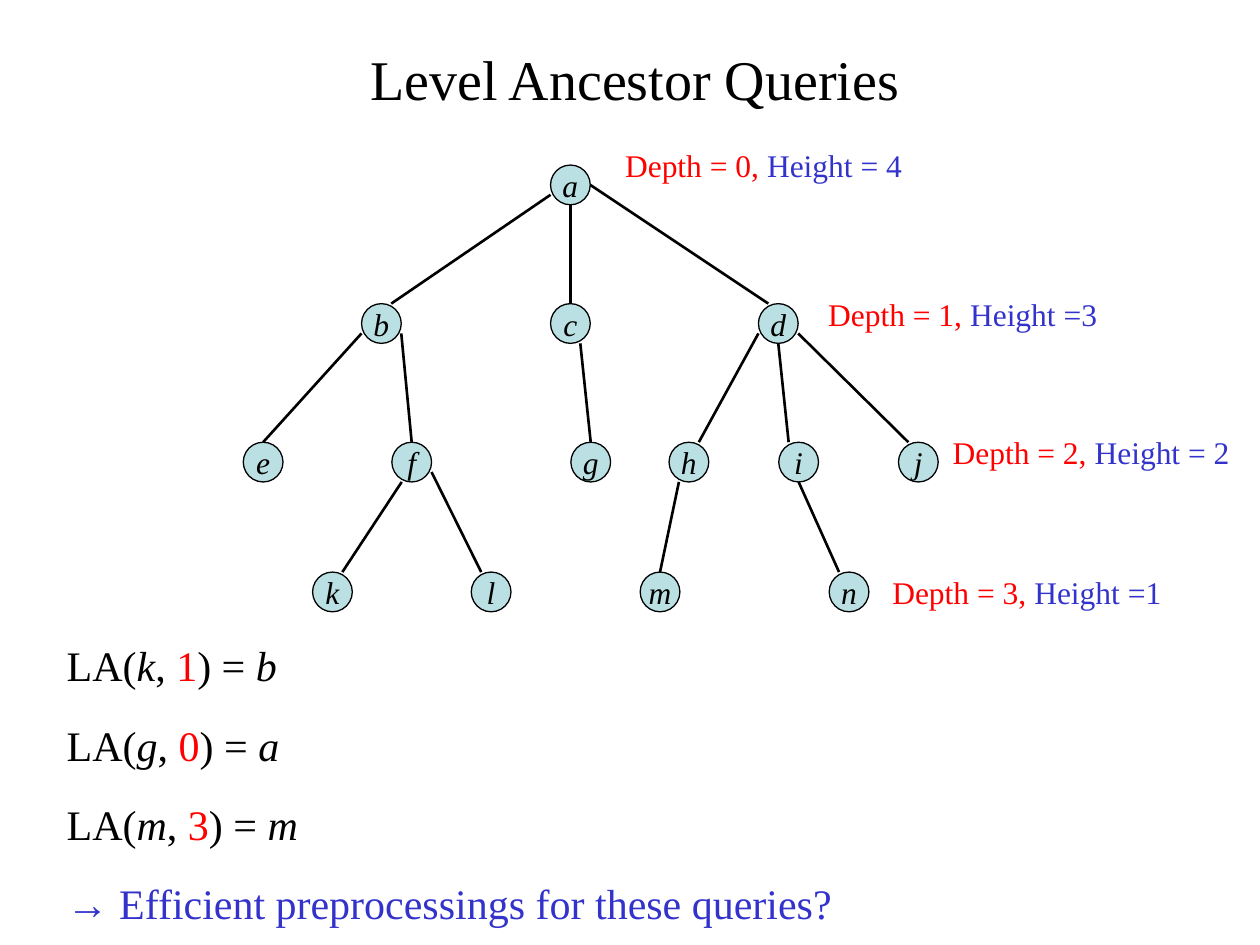
from dataclasses import dataclass

from lxml.etree import SubElement
from pptx import Presentation
from pptx.dml.color import RGBColor as RGB
from pptx.enum.shapes import MSO_CONNECTOR as Connector, MSO_SHAPE as Shape
from pptx.enum.text import MSO_ANCHOR as Anchor, MSO_AUTO_SIZE as AutoSize, PP_ALIGN as Align
from pptx.oxml.ns import qn
from pptx.util import Pt


@dataclass(frozen=True)
class Theme:
    ink: RGB = RGB(0, 0, 0)
    node_fill: RGB = RGB(0xBB, 0xE0, 0xE3)
    depth: RGB = RGB(0xFF, 0, 0)
    height: RGB = RGB(0x33, 0x33, 0xCC)
    serif: str = "Times New Roman"
    sans: str = "Arial"
    title_size: float = 32
    query_size: float = 24
    label_size: float = 18
    outline: float = 0.75
    edge: float = 1.5


NODE = 22.7  # node diameter

# Top of each tree level, with the left side of every node on it
LEVELS = [
    (94.3, {"a": 314.6}),
    (173.5, {"b": 206.6, "c": 314.6, "d": 433.4}),
    (252.7, {"e": 139, "f": 223.9, "g": 326.2, "h": 382.3, "i": 445, "j": 513.4}),
    (326.9, {"k": 178.6, "l": 269.3, "m": 365.8, "n": 473.8}),
]

# Child, x on its top edge, parent, x and y on the parent, in quarters of a node
EDGES = [
    ("b", 3, "a", 0, 3), ("c", 2, "a", 2, 4), ("d", 1, "a", 4, 2),
    ("e", 2, "b", 0, 3), ("f", 2, "b", 4, 3), ("g", 2, "c", 3, 4),
    ("h", 3, "d", 0, 3), ("i", 1, "d", 2, 4), ("j", 1, "d", 4, 3),
    ("k", 3, "f", 1, 4), ("l", 1, "f", 4, 3),
    ("m", 2, "h", 1, 4), ("n", 1, "i", 2, 4),
]

# Left, top and width of each level label, with its height text
LABELS = [
    (348.5, 82.8, 175.7, "Height = 4"),
    (468, 167.8, 164.2, "Height =3"),
    (541.4, 247, 164.2, "Height = 2"),
    (496.1, 326.9, 181.4, "Height =1"),
]

# Node, depth and answer of each level ancestor query
QUERIES = [("k", "1", "b"), ("g", "0", "a"), ("m", "3", "m")]


def assign(target, values):
    for name, value in values.items():
        setattr(target, name, value)


class TreeSlide:
    def __init__(self, deck, theme):
        self.theme = theme
        self.slide = deck.slides.add_slide(deck.slide_layouts.get_by_name("Title Only"))

    def add_runs(self, paragraph, runs, size):
        """Each run is a text and the font values that differ from the default."""
        for text, changes in runs:
            run = paragraph.add_run()
            run.text = text
            color = changes.get("color", self.theme.ink)
            assign(run.font, {"name": changes.get("name", self.theme.serif),
                              "size": Pt(size), "italic": changes.get("italic", False)})
            run.font.color.rgb = color

    def centre(self, frame, runs, size, wrap=False):
        assign(frame, {"word_wrap": wrap, "auto_size": AutoSize.NONE,
                       "vertical_anchor": Anchor.MIDDLE})
        paragraph = frame.paragraphs[0]
        paragraph.alignment = Align.CENTER
        self.add_runs(paragraph, runs, size)

    def title(self, text, left, top, width, height):
        heading = self.slide.shapes.title
        assign(heading, {"left": Pt(left), "top": Pt(top),
                         "width": Pt(width), "height": Pt(height)})
        self.centre(heading.text_frame, [(text, {})], self.theme.title_size, wrap=True)

    def node(self, name, left, top):
        circle = self.slide.shapes.add_shape(
            Shape.OVAL, Pt(left), Pt(top), Pt(NODE), Pt(NODE))
        circle.shadow.inherit = False
        circle.fill.solid()
        circle.fill.fore_color.rgb = self.theme.node_fill
        circle.line.color.rgb = self.theme.ink
        circle.line.width = Pt(self.theme.outline)
        self.centre(circle.text_frame, [(name, {"italic": True})], self.theme.label_size)

    def edge(self, start, end):
        branch = self.slide.shapes.add_connector(
            Connector.STRAIGHT, *(Pt(value) for value in (*start, *end)))
        branch.line.color.rgb = self.theme.ink
        branch.line.width = Pt(self.theme.edge)
        SubElement(branch._element.spPr, qn("a:effectLst"))

    def label(self, left, top, width, runs):
        box = self.slide.shapes.add_textbox(Pt(left), Pt(top), Pt(width), Pt(NODE))
        self.centre(box.text_frame, runs, self.theme.label_size)

    def queries(self, left, top, width, height, lines):
        frame = self.slide.shapes.add_textbox(
            Pt(left), Pt(top), Pt(width), Pt(height)).text_frame
        frame.word_wrap = True
        for index, runs in enumerate(lines):
            paragraph = frame.add_paragraph() if index else frame.paragraphs[0]
            assign(paragraph, {"space_before": Pt(15 if index else 0),
                               "line_spacing": 1.05})
            self.add_runs(paragraph, runs, self.theme.query_size)


def main():
    deck = Presentation()
    assign(deck, {"slide_width": Pt(720), "slide_height": Pt(540)})
    theme = Theme()
    page = TreeSlide(deck, theme)
    page.title("Level Ancestor Queries", 41.8, 9.4, 642.2, 70.6)

    # Tree nodes
    places = {name: (left, top) for top, row in LEVELS for name, left in row.items()}
    for name, (left, top) in places.items():
        page.node(name, left, top)

    # Tree edges, from child up to parent
    def anchor(name, across, down):
        left, top = places[name]
        return left + across * NODE / 4, top + down * NODE / 4

    for child, child_x, parent, parent_x, parent_y in EDGES:
        page.edge(anchor(child, child_x, 0), anchor(parent, parent_x, parent_y))

    # Depth and height of each level
    for depth, (left, top, width, height_text) in enumerate(LABELS):
        page.label(left, top, width, [(f"Depth = {depth}, ", {"color": theme.depth}),
                                      (height_text, {"color": theme.height})])

    # Example queries and the closing question
    italic = {"italic": True}
    lines = [[("LA(", {}), (node, italic), (", ", {}), (depth, {"color": theme.depth}),
              (") = ", {}), (answer, italic)] for node, depth, answer in QUERIES]
    lines.append([("→", {"name": theme.sans, "color": theme.height}),
                  (" Efficient preprocessings for these queries?", {"color": theme.height})])
    page.queries(31, 360.7, 668.9, 167.8, lines)

    deck.save("out.pptx")


if __name__ == "__main__":
    main()
